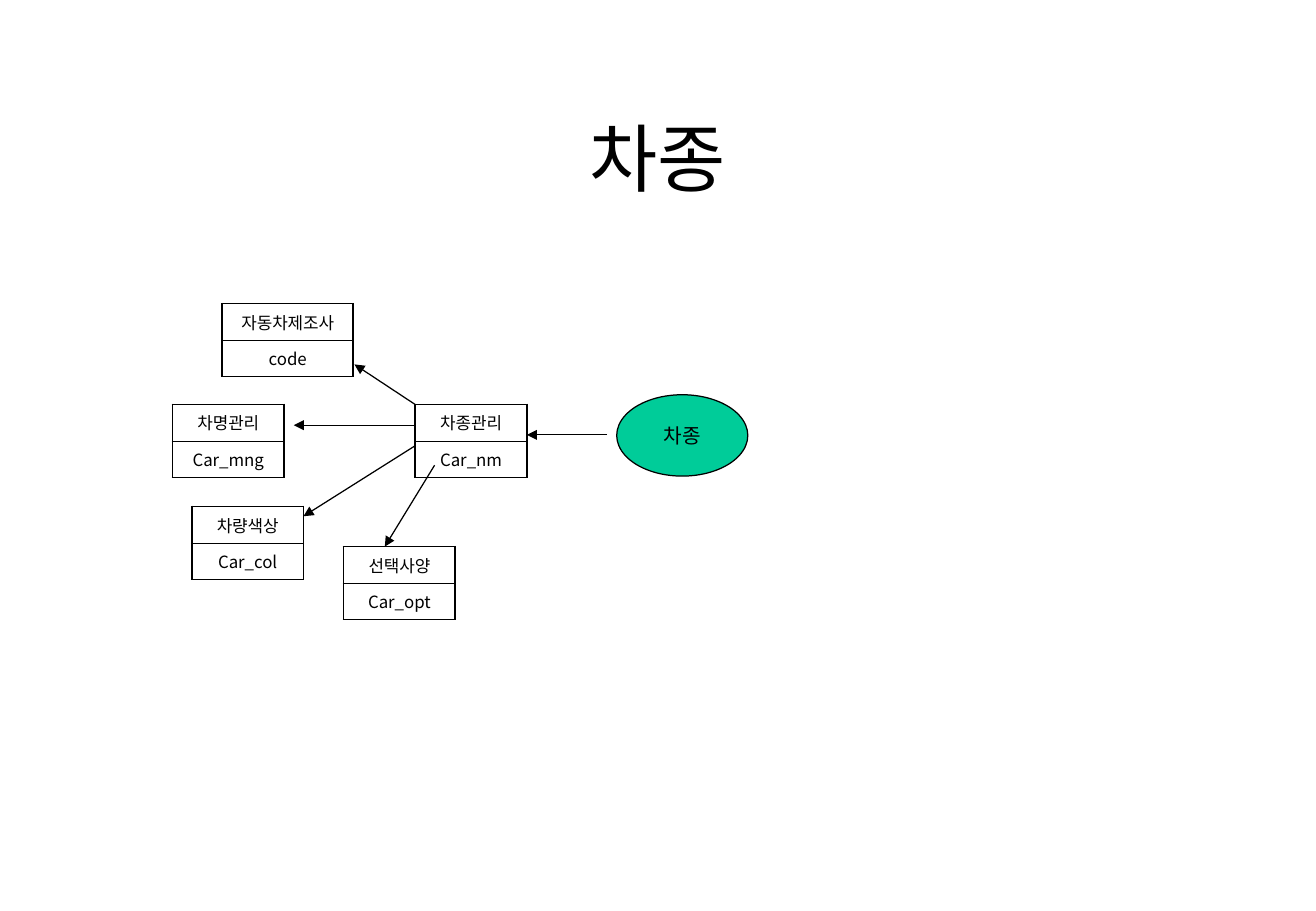
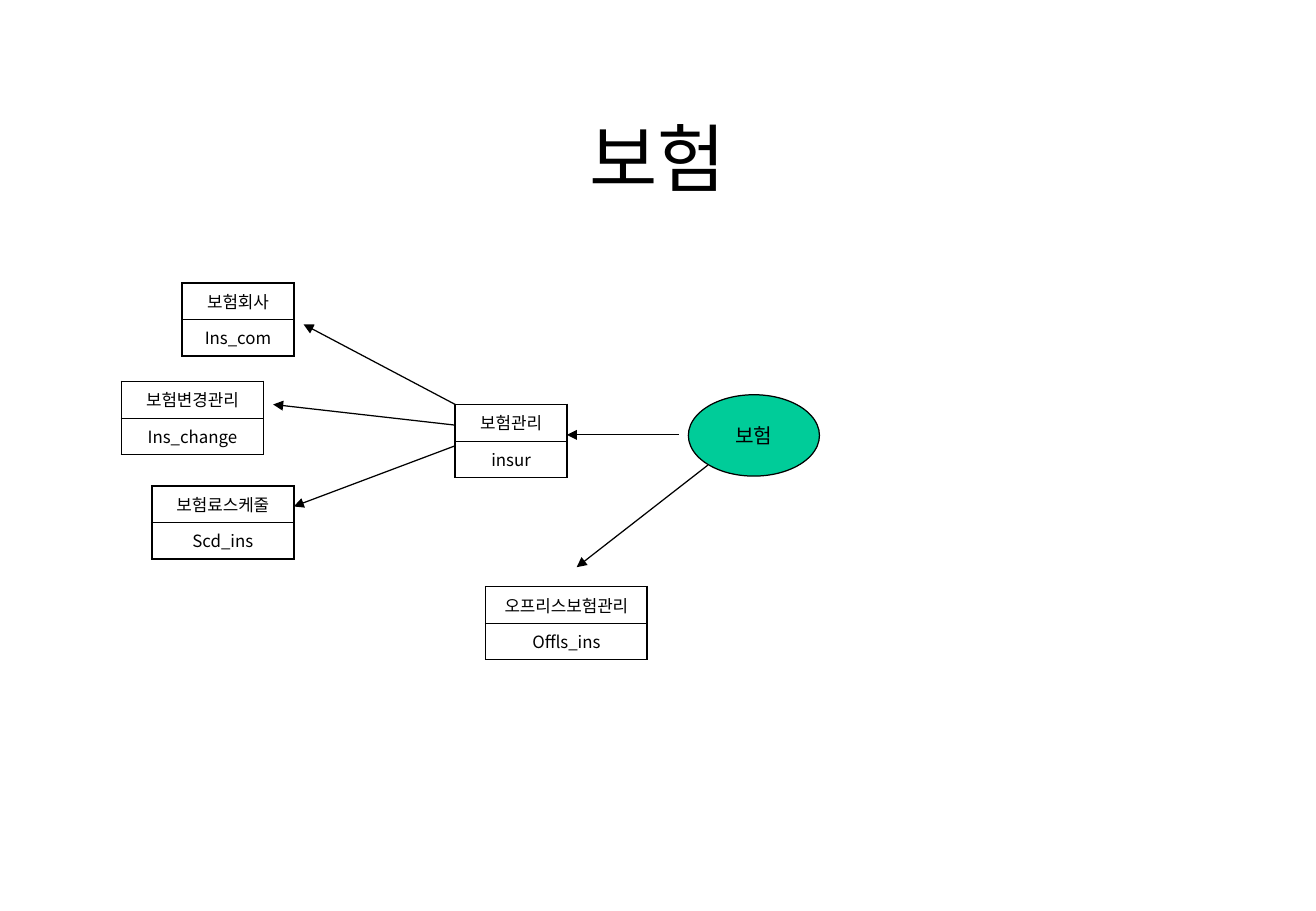
from lxml import etree
from pptx import Presentation
from pptx.dml.color import RGBColor
from pptx.enum.shapes import MSO_CONNECTOR, MSO_SHAPE
from pptx.enum.text import MSO_ANCHOR, PP_ALIGN
from pptx.oxml.ns import qn
from pptx.util import Emu, Pt

PX = 9144  # EMU per px, 100 px to the inch
SLIDE_W, SLIDE_H = 1084, 750
TITLE_BOX = (81, 67, 921, 125)
ROW_H = 27
HUB_W = 92
TOPIC_W, TOPIC_H = 108, 67
TOPIC_Y = -8
ARROW_GAP = 8
FONT = "Noto Sans CJK KR"
COLORS = {"ink": "000000", "topic": "00CC99"}
OUTER_PT, INNER_PT, LINE_PT = 1.08, 0.45, 0.75

# Offsets in px are measured from the top left corner of the hub entity.
DIAGRAMS = [
    {
        "title": "차종",
        "hub_at": (342, 333),
        "hub": ("차종관리", "Car_nm"),
        "topic_x": 166,
        "entities": [
            ("차명관리", "Car_mng", -200, 0, 92),
            ("선택사양", "Car_opt", -59, 117, 92),
            ("차량색상", "Car_col", -184, 84, 92),
            ("자동차제조사", "code", -159, -83, 108),
        ],
        "arrows": [
            (0, 0, -50, -33),
            (0, 17, -100, 17),
            (0, 34, -92, 92),
            (16, 50, -25, 117),
        ],
    },
    {
        "title": "보험",
        "hub_at": (375, 333),
        "hub": ("보험관리", "insur"),
        "topic_x": 192,
        "entities": [
            ("보험변경관리", "Ins_change", -275, -19, 117),
            ("보험료스케줄", "Scd_ins", -250, 67, 117),
            ("보험회사", "Ins_com", -225, -100, 92),
            ("오프리스보험관리", "Offls_ins", 25, 150, 133),
        ],
        "arrows": [
            (0, 0, -125, -66),
            (0, 17, -150, 0),
            (0, 34, -133, 84),
            (208, 50, 100, 134),
        ],
    },
]


def px(*lengths):
    return [Emu(length * PX) for length in lengths]


def rgb(name):
    return RGBColor.from_string(COLORS[name])


def write(text_frame, text, size):
    """Set one centred line of text in the shared font."""
    text_frame.text = text
    paragraph = text_frame.paragraphs[0]
    paragraph.alignment = PP_ALIGN.CENTER
    for run in paragraph.runs:
        font = run.font
        font.name, font.size, font.bold = FONT, Pt(size), False
        font.color.rgb = rgb("ink")
        east_asian = etree.SubElement(font._element, qn("a:ea"))
        east_asian.set("typeface", FONT)
    return paragraph


def add_title(slide, text, box):
    title = slide.shapes.title
    title.left, title.top, title.width, title.height = px(*box)
    title.text_frame.vertical_anchor = MSO_ANCHOR.MIDDLE
    write(title.text_frame, text, 44)


def set_borders(cell, **widths):
    """Draw the cell sides L, R, T and B with widths in points."""
    properties = cell._tc.get_or_add_tcPr()
    for position, (side, width) in enumerate(widths.items()):
        border = etree.Element(qn(f"a:ln{side}"), w=str(Pt(width)))
        fill = etree.SubElement(border, qn("a:solidFill"))
        etree.SubElement(fill, qn("a:srgbClr"), val=COLORS["ink"])
        properties.insert(position, border)


def add_entity(slide, label, table_name, x, y, width):
    """Add a two-row box: the label above the database table name."""
    entity = slide.shapes.add_table(2, 1, *px(x, y, width, 2 * ROW_H)).table
    entity.first_row = entity.horz_banding = False
    for row, text in enumerate((label, table_name)):
        entity.rows[row].height = Emu(ROW_H * PX)
        cell = entity.cell(row, 0)
        cell.fill.background()
        write(cell.text_frame, text, 10).space_before = Pt(2.5)
        top, bottom = (OUTER_PT, INNER_PT) if row == 0 else (INNER_PT, OUTER_PT)
        set_borders(cell, L=OUTER_PT, R=OUTER_PT, T=top, B=bottom)


def add_arrow(slide, x1, y1, x2, y2):
    arrow = slide.shapes.add_connector(MSO_CONNECTOR.STRAIGHT, *px(x1, y1, x2, y2))
    arrow.line.color.rgb = rgb("ink")
    arrow.line.width = Pt(LINE_PT)
    etree.SubElement(arrow.line._get_or_add_ln(), qn("a:tailEnd"), type="triangle")
    etree.SubElement(arrow._element.spPr, qn("a:effectLst"))


def add_topic(slide, text, x, y):
    topic = slide.shapes.add_shape(MSO_SHAPE.OVAL, *px(x, y, TOPIC_W, TOPIC_H))
    topic.shadow.inherit = False
    topic.fill.solid()
    topic.fill.fore_color.rgb = rgb("topic")
    topic.line.color.rgb = rgb("ink")
    topic.line.width = Pt(LINE_PT)
    topic.text_frame.word_wrap = False
    topic.text_frame.vertical_anchor = MSO_ANCHOR.MIDDLE
    write(topic.text_frame, text, 12)


def add_diagram(slide, diagram):
    hub_x, hub_y = diagram["hub_at"]
    add_entity(slide, *diagram["hub"], hub_x, hub_y, HUB_W)
    for label, table_name, dx, dy, width in diagram["entities"]:
        add_entity(slide, label, table_name, hub_x + dx, hub_y + dy, width)

    topic_x = diagram["topic_x"]
    middle = TOPIC_Y + TOPIC_H // 2
    entry = (topic_x - ARROW_GAP, middle, HUB_W, middle)
    for x1, y1, x2, y2 in [entry, *diagram["arrows"]]:
        add_arrow(slide, hub_x + x1, hub_y + y1, hub_x + x2, hub_y + y2)
    add_topic(slide, diagram["title"], hub_x + topic_x, hub_y + TOPIC_Y)


def main():
    presentation = Presentation()
    presentation.slide_width, presentation.slide_height = px(SLIDE_W, SLIDE_H)
    title_only = presentation.slide_layouts[5]
    for diagram in DIAGRAMS:
        slide = presentation.slides.add_slide(title_only)
        add_title(slide, diagram["title"], TITLE_BOX)
        add_diagram(slide, diagram)
    presentation.save("out.pptx")


if __name__ == "__main__":
    main()
